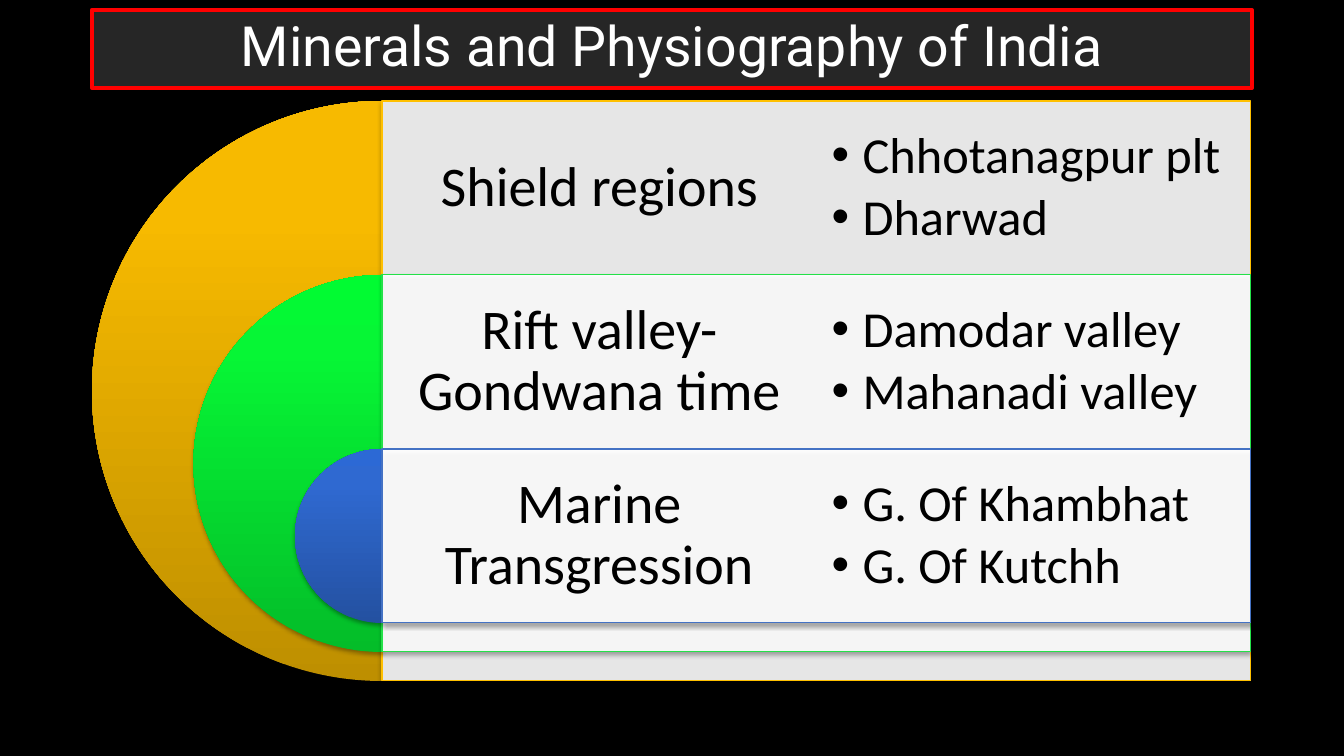
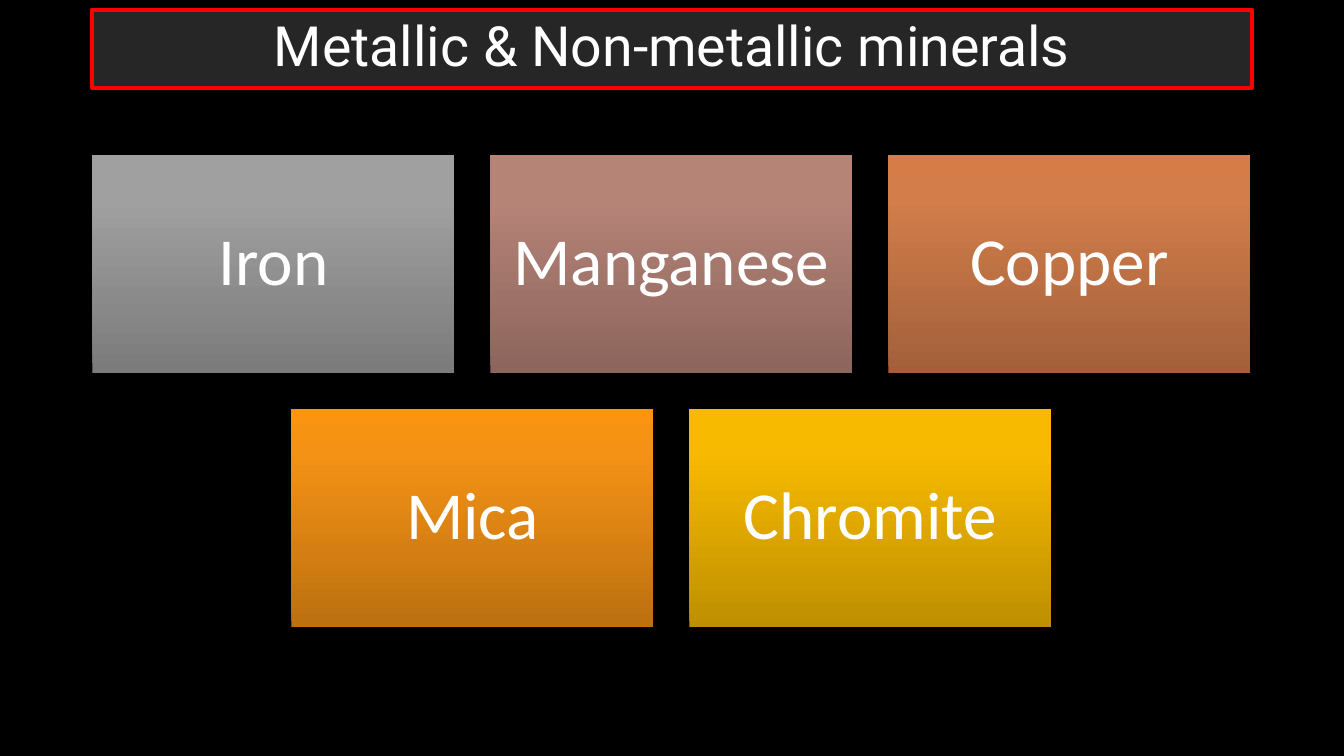
from dataclasses import dataclass

from lxml.etree import SubElement
from pptx import Presentation
from pptx.dml.color import RGBColor
from pptx.enum.shapes import MSO_SHAPE
from pptx.enum.text import MSO_ANCHOR, MSO_AUTO_SIZE, PP_ALIGN
from pptx.oxml.ns import qn
from pptx.util import Pt

EMU_PER_PX = 914400 / 100.8


@dataclass(frozen=True)
class Theme:
    background: str = "000000"
    white: str = "FFFFFF"
    black: str = "000000"
    title_fill: str = "262626"
    title_line: str = "FF0000"
    title_font: str = "Roboto"
    body_font: str = "Calibri"
    title_size: float = 39.6
    label_size: int = 40
    list_size: int = 36
    tile_size: int = 48
    line_spacing: float = 0.9
    list_gap: float = 5.4


THEME = Theme()

# Gradients run from the bottom (0 %) through 80 % to the top (100 %)
GOLD = ("BE8F00", "F7BA00", "F8BB00")
GREEN = ("04BD29", "06F635", "01FB32")
BLUE = ("2451A1", "2F69D1", "2C69D5")
GREY = ("7B7B7B", "A0A0A0", "A1A1A1")
ROSE = ("8C655C", "B68377", "B88377")
COPPER = ("A2603A", "D27D4A", "D67C47")
ORANGE = ("BC7010", "F49215", "FA9411")

TITLE_BOX = (92, 10, 1160, 78)
CONTENT_BOX = (92, 101, 1159, 580)

REGIONS = [
    ("Shield regions", ["Chhotanagpur plt", "Dharwad"], GOLD, "FFC000"),
    ("Rift valley- Gondwana time", ["Damodar valley", "Mahanadi valley"], GREEN, "23E148"),
    ("Marine Transgression", ["G. Of Khambhat", "G. Of Kutchh"], BLUE, "4472C4"),
]
MINERAL_ROWS = [
    [("Iron", GREY), ("Manganese", ROSE), ("Copper", COPPER)],
    [("Mica", ORANGE), ("Chromite", GOLD)],
]


def px(value):
    return round(value * EMU_PER_PX)


def place(shape, box):
    shape.left, shape.top, shape.width, shape.height = map(px, box)


def write_text(shape, lines, *, size, color, font=THEME.body_font,
               align=PP_ALIGN.CENTER, inset=10, gap=0, bullet_indent=0):
    """Fill a shape with one paragraph per line."""
    frame = shape.text_frame
    frame.word_wrap = True
    frame.auto_size = MSO_AUTO_SIZE.NONE
    frame.vertical_anchor = MSO_ANCHOR.MIDDLE
    frame.margin_left = frame.margin_right = px(inset)
    frame.margin_top = frame.margin_bottom = px(inset)
    for index, line in enumerate(lines):
        paragraph = frame.add_paragraph() if index else frame.paragraphs[0]
        paragraph.alignment = align
        paragraph.line_spacing = THEME.line_spacing
        paragraph.space_before = Pt(0)
        paragraph.space_after = Pt(gap)
        run = paragraph.add_run()
        run.text = line
        run.font.name = font
        run.font.size = Pt(size)
        run.font.bold = False
        run.font.color.rgb = RGBColor.from_string(color)
        if bullet_indent:
            properties = paragraph._p.get_or_add_pPr()
            properties.set("marL", str(px(bullet_indent)))
            properties.set("indent", str(-px(bullet_indent)))
            SubElement(properties, qn("a:buFont"), typeface="Arial")
            SubElement(properties, qn("a:buChar"), char="•")


def add_shadow(shape):
    shape.shadow.inherit = False
    effects = shape._element.spPr.find(qn("a:effectLst"))
    shadow = SubElement(effects, qn("a:outerShdw"), blurRad="40000",
                        dist="23000", dir="5400000", rotWithShape="0")
    color = SubElement(shadow, qn("a:srgbClr"), val=THEME.black)
    SubElement(color, qn("a:alpha"), val="35000")


def add_gradient_shape(slide, kind, box, colors):
    shape = slide.shapes.add_shape(kind, *map(px, box))
    shape.fill.gradient()
    shape.fill.gradient_angle = 90
    stops = shape._element.spPr.find(qn("a:gradFill")).find(qn("a:gsLst"))
    for stop in list(stops):
        stops.remove(stop)
    for position, color in zip((0, 80, 100), colors):
        stop = SubElement(stops, qn("a:gs"), pos=str(position * 1000))
        SubElement(stop, qn("a:srgbClr"), val=color)
    shape.line.fill.background()
    add_shadow(shape)
    return shape


def add_panel(slide, box, line_color):
    """Translucent white panel with a thin coloured outline."""
    panel = slide.shapes.add_shape(MSO_SHAPE.RECTANGLE, *map(px, box))
    panel.fill.solid()
    panel.fill.fore_color.rgb = RGBColor.from_string(THEME.white)
    fill_color = panel._element.spPr.find(qn("a:solidFill"))[0]
    SubElement(fill_color, qn("a:alpha"), val="90000")
    panel.line.color.rgb = RGBColor.from_string(line_color)
    panel.line.width = Pt(0.75)
    add_shadow(panel)


def add_titled_slide(presentation, layout_name, text):
    layout = presentation.slide_layouts.get_by_name(layout_name)
    slide = presentation.slides.add_slide(layout)
    title = slide.shapes.title
    place(title, TITLE_BOX)
    geometry = SubElement(title._element.spPr, qn("a:prstGeom"), prst="roundRect")
    SubElement(geometry, qn("a:avLst"))
    title.fill.solid()
    title.fill.fore_color.rgb = RGBColor.from_string(THEME.title_fill)
    title.line.color.rgb = RGBColor.from_string(THEME.title_line)
    title.line.width = Pt(3)
    write_text(title, [text], size=THEME.title_size, color=THEME.white,
               font=THEME.title_font, inset=5)
    return slide


def add_nested_regions(slide, box, regions):
    """Nested half discs, each opening into a row with a label and a list."""
    left, top, width, height = box
    row_height = height * 0.3
    axis = left + height / 2
    column_width = (left + width - axis) / 2
    lists = [shape for shape in slide.placeholders
             if shape.placeholder_format.idx != 0]

    for index, (label, items, colors, line_color) in enumerate(regions):
        row_top = top + index * row_height
        diameter = height * (1 - 0.35 * index)

        # Half disc and panel
        disc = add_gradient_shape(
            slide, MSO_SHAPE.PIE,
            (axis - diameter / 2, row_top, diameter, diameter), colors)
        disc.adjustments[0], disc.adjustments[1] = 54, 162
        add_panel(slide, (axis, row_top, 2 * column_width, diameter), line_color)

        # Label
        label_box = (axis, row_top, column_width, row_height)
        label_shape = slide.shapes.add_textbox(*map(px, label_box))
        write_text(label_shape, [label], size=THEME.label_size,
                   color=THEME.black, inset=17)

        # List, brought in front of its panel
        body = lists[index]
        place(body, (axis + column_width, row_top, column_width, row_height))
        write_text(body, items, size=THEME.list_size, color=THEME.black,
                   align=PP_ALIGN.LEFT, inset=15, gap=THEME.list_gap,
                   bullet_indent=31)
        slide.shapes._spTree.append(body._element)

    for unused in lists[len(regions):]:
        slide.shapes._spTree.remove(unused._element)


def add_mineral_tiles(slide, box, rows):
    """Rows of equal tiles, each row centred and the block centred in the box."""
    left, top, width, height = box
    tile_width, tile_height, gap = 362, 218, 36
    block_height = len(rows) * (tile_height + gap) - gap
    block_top = top + (height - block_height) / 2
    for row_index, row in enumerate(rows):
        row_width = len(row) * (tile_width + gap) - gap
        row_left = left + (width - row_width) / 2
        for column, (name, colors) in enumerate(row):
            tile = add_gradient_shape(
                slide, MSO_SHAPE.RECTANGLE,
                (row_left + column * (tile_width + gap),
                 block_top + row_index * (tile_height + gap),
                 tile_width, tile_height), colors)
            write_text(tile, [name], size=THEME.tile_size,
                       color=THEME.white, inset=20)


def main():
    presentation = Presentation()
    presentation.slide_width = px(1344)
    presentation.slide_height = px(756)
    background = presentation.slide_master.background.fill
    background.solid()
    background.fore_color.rgb = RGBColor.from_string(THEME.background)

    slide = add_titled_slide(presentation, "Comparison",
                             "Minerals and Physiography of India")
    add_nested_regions(slide, CONTENT_BOX, REGIONS)

    slide = add_titled_slide(presentation, "Title Only",
                             "Metallic & Non-metallic minerals")
    add_mineral_tiles(slide, CONTENT_BOX, MINERAL_ROWS)

    presentation.save("out.pptx")


if __name__ == "__main__":
    main()
